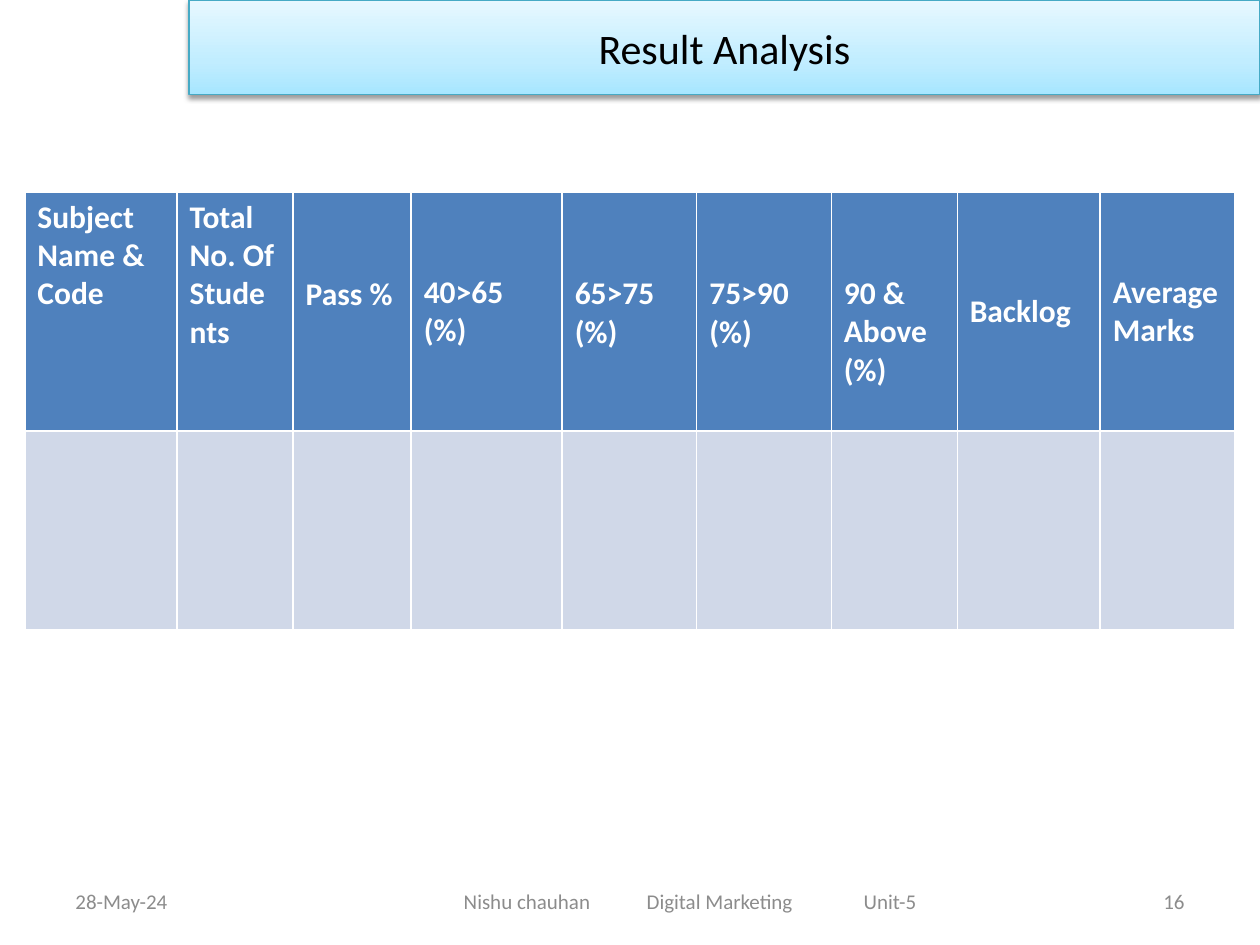
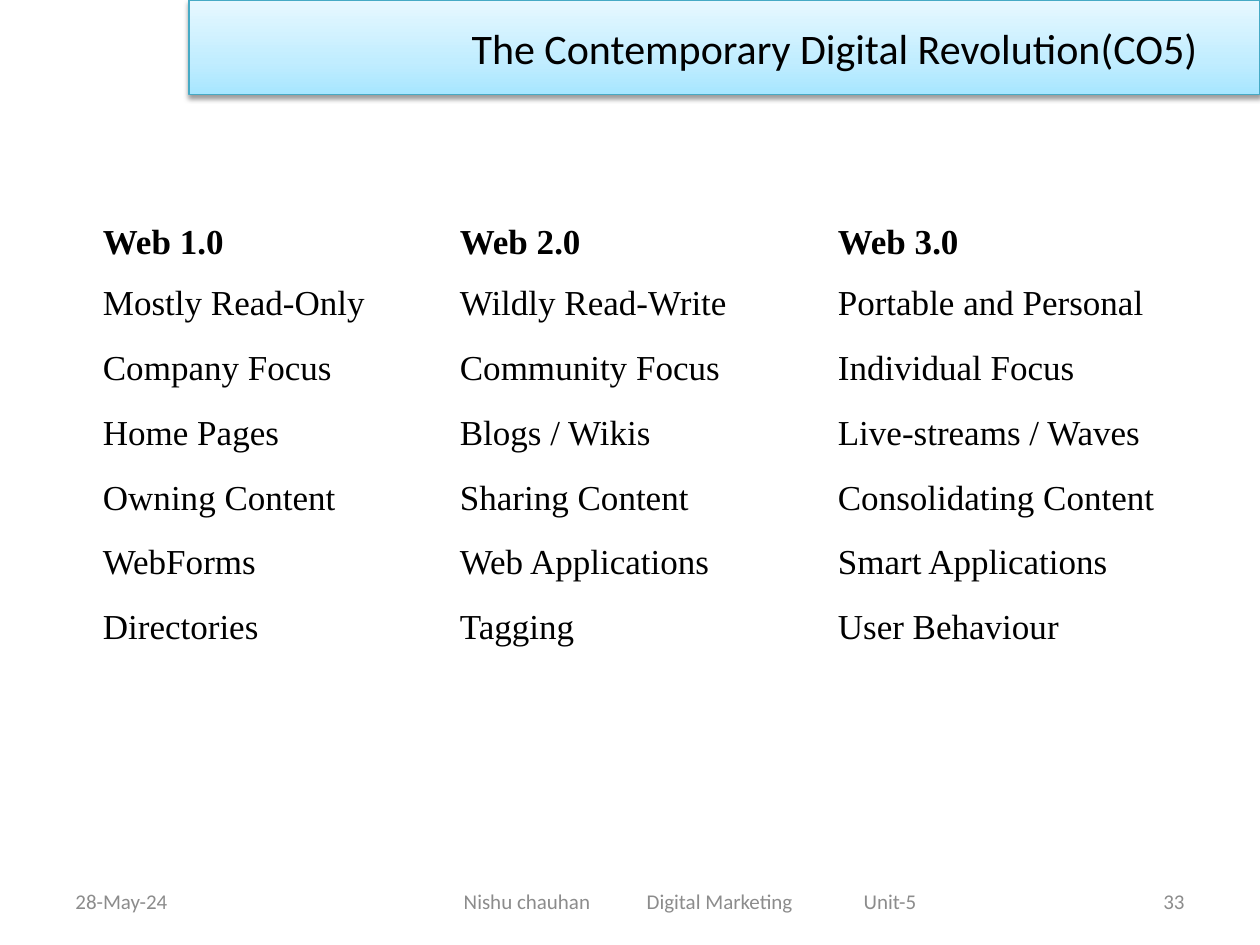
from pptx import Presentation
from pptx.dml.color import RGBColor
from pptx.enum.shapes import MSO_SHAPE
from pptx.enum.text import MSO_ANCHOR, PP_ALIGN
from pptx.oxml import parse_xml
from pptx.oxml.ns import nsdecls
from pptx.util import Pt

BLACK = RGBColor(0x00, 0x00, 0x00)
WHITE = RGBColor(0xFF, 0xFF, 0xFF)
FOOTER_GREY = RGBColor(0x8C, 0x8C, 0x8C)
BAND_LINE = RGBColor(0x46, 0xAA, 0xC5)
HEADER_BLUE = RGBColor(0x4F, 0x81, 0xBD)
ROW_BLUE = RGBColor(0xD0, 0xD8, 0xE8)
BAND_STOPS = [
    (0, RGBColor(0xA7, 0xE6, 0xFF)),
    (35, RGBColor(0xC1, 0xED, 0xFF)),
    (100, RGBColor(0xE7, 0xF8, 0xFF)),
]
SANS, SERIF = "Calibri", "Times New Roman"
INSETS = (7.2, 3.6, 7.2, 3.6)  # left, top, right, bottom

DATE = "28-May-24"
FOOTER = "Nishu chauhan\tDigital Marketing\tUnit-5"
FOOTER_TABS = (104.5, 228.5)

# heading, column width, anchor, extra space above the text
RESULT_COLUMNS = [
    ("Subject Name & Code", 87, MSO_ANCHOR.TOP, 0),
    ("Total No. Of Students", 66.3, MSO_ANCHOR.TOP, 0),
    ("Pass %", 67.5, MSO_ANCHOR.TOP, 44),
    ("40>65 (%)", 86.3, MSO_ANCHOR.MIDDLE, 0),
    ("65>75 (%)", 76.9, MSO_ANCHOR.MIDDLE, 2),
    ("75>90\n(%)", 76.9, MSO_ANCHOR.MIDDLE, 2),
    ("90 & Above (%)", 72, MSO_ANCHOR.MIDDLE, 23.4),
    ("Backlog", 81.7, MSO_ANCHOR.MIDDLE, 0),
    ("Average Marks", 76.8, MSO_ANCHOR.MIDDLE, 0),
]
RESULT_ROWS = (136.8, 113.6)

WEB_ERAS = [
    ("Web 1.0", "Web 2.0", "Web 3.0"),
    ("Mostly Read-Only", "Wildly Read-Write", "Portable and Personal"),
    ("Company Focus", "Community Focus", "Individual Focus"),
    ("Home Pages", "Blogs / Wikis", "Live-streams / Waves"),
    ("Owning Content", "Sharing Content", "Consolidating Content"),
    ("WebForms", "Web Applications", "Smart Applications"),
    ("Directories", "Tagging", "User Behaviour"),
]
ERA_WIDTHS = (204, 216, 210)


def write(frame, text, size=18, font=SANS, color=BLACK, bold=False,
          align=PP_ALIGN.LEFT, tabs=()):
    for index, line in enumerate(text.split("\n")):
        para = frame.paragraphs[0] if index == 0 else frame.add_paragraph()
        para.alignment = align
        if tabs:
            stops = "".join(f'<a:tab pos="{Pt(tab)}" algn="l"/>' for tab in tabs)
            para._p.get_or_add_pPr().append(
                parse_xml(f'<a:tabLst {nsdecls("a")}>{stops}</a:tabLst>'))
        for position, part in enumerate(line.split("\t")):
            span = para.add_run()
            span.text = "\t" + part if position else part
            span.font.size = Pt(size)
            span.font.name = font
            span.font.bold = bold
            span.font.color.rgb = color


def set_insets(target, insets):
    """Set the margins of a text frame or a table cell."""
    (target.margin_left, target.margin_top,
     target.margin_right, target.margin_bottom) = map(Pt, insets)


def add_label(page, left, width, text, left_inset=7.2, **style):
    box = page.shapes.add_textbox(Pt(left), Pt(500.5), Pt(width), Pt(28.75))
    frame = box.text_frame
    frame.word_wrap = True
    frame.vertical_anchor = MSO_ANCHOR.MIDDLE
    set_insets(frame, (left_inset, *INSETS[1:]))
    write(frame, text, size=12, color=FOOTER_GREY, **style)


def add_title_band(page, title, align, left_inset):
    band = page.shapes.add_shape(MSO_SHAPE.RECTANGLE, Pt(108), Pt(0), Pt(612), Pt(54))
    band.fill.gradient()
    band.fill.gradient_angle = 90
    stops = "".join(f'<a:gs pos="{pos * 1000}"><a:srgbClr val="{color}"/></a:gs>'
                    for pos, color in BAND_STOPS)
    gradient = band._element.spPr.gradFill
    gradient.replace(gradient.gsLst,
                     parse_xml(f'<a:gsLst {nsdecls("a")}>{stops}</a:gsLst>'))
    band.line.color.rgb = BAND_LINE
    band.line.width = Pt(0.75)
    band.shadow.inherit = False
    band._element.spPr.effectLst.append(parse_xml(
        f'<a:outerShdw {nsdecls("a")} blurRad="{Pt(3.1)}" dist="{Pt(1.6)}" '
        'dir="5400000" rotWithShape="0"><a:srgbClr val="000000">'
        '<a:alpha val="38000"/></a:srgbClr></a:outerShdw>'))
    frame = band.text_frame
    frame.word_wrap = True
    frame.vertical_anchor = MSO_ANCHOR.MIDDLE
    set_insets(frame, (left_inset, *INSETS[1:]))
    write(frame, title, size=24, align=align)


def add_page(deck, title, number, align=PP_ALIGN.CENTER, left_inset=7.2):
    page = deck.slides.add_slide(deck.slide_layouts[6])
    add_label(page, 36, 168, DATE)
    add_label(page, 198, 396, FOOTER, left_inset=67, tabs=FOOTER_TABS)
    add_label(page, 516, 168, number, align=PP_ALIGN.RIGHT)
    add_title_band(page, title, align, left_inset)
    return page


def add_grid(page, left, top, widths, heights):
    table = page.shapes.add_table(len(heights), len(widths), Pt(left), Pt(top),
                                  Pt(sum(widths)), Pt(sum(heights))).table
    for column, width in zip(table.columns, widths):
        column.width = Pt(width)
    for row, height in zip(table.rows, heights):
        row.height = Pt(height)
    return table


def fill_cell(cell, color):
    cell.fill.solid()
    cell.fill.fore_color.rgb = color


def build_results(deck):
    page = add_page(deck, "Result Analysis", "16")
    widths = [width for _, width, _, _ in RESULT_COLUMNS]
    table = add_grid(page, 14.2, 109.6, widths, RESULT_ROWS)
    for index, (heading, _, anchor, space) in enumerate(RESULT_COLUMNS):
        cell = table.cell(0, index)
        fill_cell(cell, HEADER_BLUE)
        fill_cell(table.cell(1, index), ROW_BLUE)
        cell.vertical_anchor = anchor
        set_insets(cell, (7.2, 3.6 + space, 7.2, 3.6))
        write(cell.text_frame, heading, color=WHITE, bold=True)


def build_web_eras(deck):
    page = add_page(deck, "The Contemporary Digital Revolution(CO5)", "33",
                    align=PP_ALIGN.LEFT, left_inset=161.5)
    heights = [32.4] + [36.6] * (len(WEB_ERAS) - 1)
    table = add_grid(page, 54, 121.7, ERA_WIDTHS, heights)
    for row, texts in enumerate(WEB_ERAS):
        for column, text in enumerate(texts):
            cell = table.cell(row, column)
            fill_cell(cell, WHITE)
            cell.vertical_anchor = MSO_ANCHOR.MIDDLE
            inset = 6.5 if row else 4.7
            set_insets(cell, (4.8, inset, 4.8, inset))
            write(cell.text_frame, text, size=20, font=SERIF, bold=row == 0)


def main():
    deck = Presentation()
    deck.slide_width, deck.slide_height = Pt(720), Pt(540)
    build_results(deck)
    build_web_eras(deck)
    deck.save("out.pptx")


if __name__ == "__main__":
    main()
